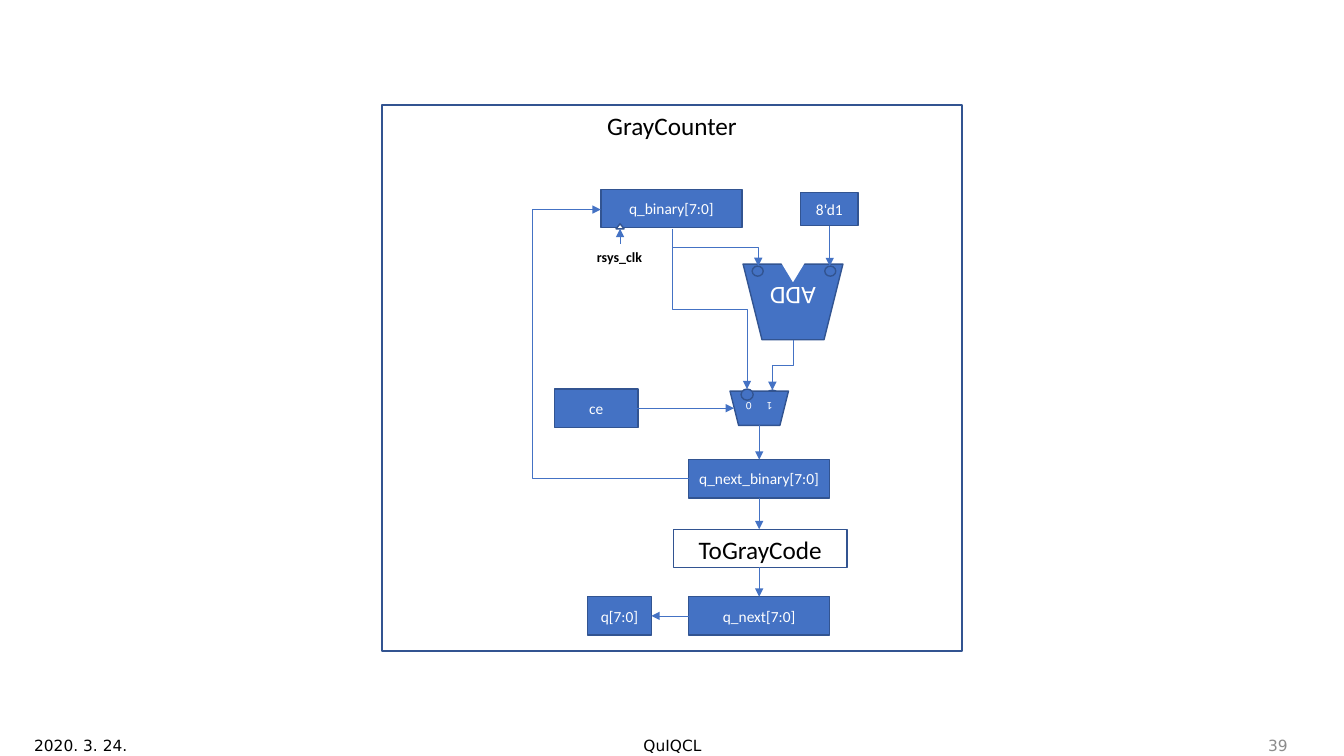
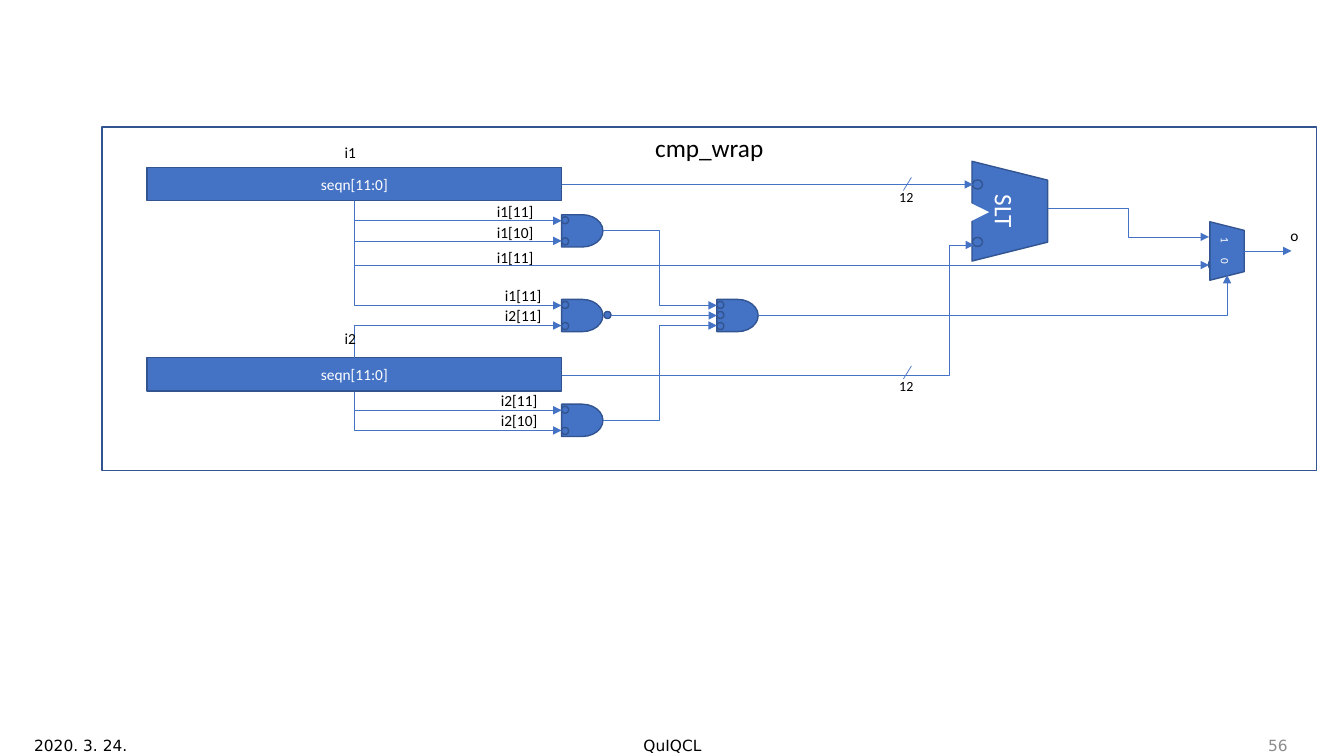
import pptx
import pptx.dml.color
import pptx.enum.shapes
import pptx.enum.text
import pptx.util
from lxml import etree
from pptx.oxml.ns import qn

Inches, Pt = pptx.util.Inches, pptx.util.Pt
Shape = pptx.enum.shapes.MSO_SHAPE
Connector = pptx.enum.shapes.MSO_CONNECTOR
Align = pptx.enum.text.PP_ALIGN
Anchor = pptx.enum.text.MSO_ANCHOR

THEME = {
    "fill": "4472C4", "outline": "325491", "wire": "4472C4",
    "white": "FFFFFF", "text": "000000", "muted": "8C8C8C",
    "font": "Calibri", "footer font": "DejaVu Sans",
    "heading": 18, "label": 11, "small": 10, "port": 8,
    "outline width": 1, "wire width": 0.5,
}
KINDS = {
    "block": Shape.RECTANGLE, "frame": Shape.RECTANGLE, "unit": Shape.TRAPEZOID,
    "mux": Shape.TRAPEZOID, "notch": Shape.ISOSCELES_TRIANGLE,
    "clock": Shape.ISOSCELES_TRIANGLE, "port": Shape.OVAL, "gate": Shape.FLOWCHART_DELAY,
}
FOOTER = [
    ("2020. 3. 24.", 0.24, 3, Align.LEFT, "text"),
    ("QuIQCL", 4.42, 4.5, Align.CENTER, "text"),
    (None, 9.87, 3, Align.RIGHT, "muted"),
]
PORT = 0.07
GATE_WIDTH, GATE_HEIGHT = 0.41, 0.32
TWO_INPUTS, THREE_INPUTS = (0.02, 0.23), (0.02, 0.12, 0.23)

# Parts: kind, text, (left, top, width, height), rotation
# Wires: start, end, route, bend as a fraction of the way
# Labels: text, (left, top, width, height), size, bold, alignment
COUNTER = {
    "title": "GrayCounter", "number": 39, "panel": (3.79, 1.04, 5.75, 5.42),
    "parts": [
        ("block", "ce", (5.5, 3.86, 0.83, 0.38), 0),
        ("block", "q[7:0]", (5.83, 5.92, 0.63, 0.38), 0),
        ("block", "q_next_binary[7:0]", (6.83, 4.56, 1.4, 0.38), 0),
        ("block", "q_binary[7:0]", (5.96, 1.88, 1.4, 0.38), 0),
        ("block", "8‘d1", (7.94, 1.91, 0.57, 0.33), 0),
        ("block", "q_next[7:0]", (6.83, 5.92, 1.4, 0.38), 0),
        ("frame", "ToGrayCode", (6.68, 5.25, 1.72, 0.38), 0),
        ("unit", "ADD", (7.37, 2.62, 0.99, 0.75), 180),
        ("notch", "", (7.75, 2.61, 0.23, 0.19), 180),
        ("port", "", (8.18, 2.64, 0.11, 0.1), 0),
        ("port", "", (7.46, 2.64, 0.11, 0.1), 0),
        ("port", "", (7.6, 3.87, 0.12, 0.11), 0),
        ("mux", "1 0", (7.24, 3.88, 0.58, 0.34), 180),
        ("port", "", (7.35, 3.86, 0.12, 0.11), 0),
        ("clock", "", (6.11, 2.22, 0.08, 0.05), 0),
    ],
    "gates": [],
    "wires": [
        ((8.23, 2.24), (8.23, 2.64), "straight", None),
        ((6.15, 2.42), (6.15, 2.27), "straight", None),
        ((6.32, 4.05), (7.28, 4.05), "straight", None),
        ((7.53, 4.22), (7.53, 4.56), "straight", None),
        ((7.53, 4.94), (7.53, 5.25), "straight", None),
        ((7.53, 5.63), (7.53, 5.92), "straight", None),
        ((6.83, 6.11), (6.46, 6.11), "straight", None),
        ((6.67, 2.27), (7.52, 2.64), "down", 0.5),
        ((6.67, 2.27), (7.41, 3.86), "down", 0.5),
        ((7.87, 3.37), (7.66, 3.87), "down", 0.5),
        ((6.83, 4.75), (5.96, 2.08), "across", 1.78),
    ],
    "labels": [("rsys_clk", (5.81, 2.42, 0.67, 0.27), "small", True, Align.CENTER)],
    "slashes": [],
}

BUS_X = 3.51
UPPER, LOWER_TOP, LOWER_BOTTOM = (BUS_X, 1.99), (BUS_X, 3.55), (BUS_X, 3.89)
FANOUT = [
    (UPPER, (5.57, 2.19)), (UPPER, (5.57, 2.39)), (UPPER, (5.57, 3.03)),
    (UPPER, (11.99, 2.63)), (LOWER_TOP, (5.57, 3.23)),
    (LOWER_BOTTOM, (5.57, 4.07)), (LOWER_BOTTOM, (5.57, 4.27)),
]
BIT_LABELS = [
    ("i1[11]", 4.83, 1.96), ("i1[10]", 4.83, 2.16), ("i1[11]", 4.83, 2.41),
    ("i1[11]", 4.91, 2.79), ("i2[11]", 4.91, 2.99),
    ("i2[11]", 4.87, 3.83), ("i2[10]", 4.87, 4.03),
]
END_LABELS = [("i1", 3.32, 1.37), ("i2", 3.32, 3.22), ("o", 12.7, 2.19)]

COMPARATOR = {
    "title": "cmp_wrap", "number": 56, "panel": (1.01, 1.26, 12.05, 3.41),
    "parts": [
        ("block", "seqn[11:0]", (1.46, 1.66, 4.11, 0.33), 0),
        ("block", "seqn[11:0]", (1.46, 3.55, 4.11, 0.33), 0),
        ("port", "", (5.99, 3.09, PORT, PORT), 0),
        ("unit", "SLT", (9.52, 1.72, 0.99, 0.75), 90),
        ("notch", "", (9.62, 2.01, 0.19, 0.19), 90),
        ("port", "", (9.65, 2.35, 0.09, 0.1), 90),
        ("port", "", (9.65, 1.78, 0.09, 0.1), 90),
        ("port", "", (11.98, 2.57, 0.12, 0.11), 90),
        ("port", "", (11.99, 2.3, 0.12, 0.11), 90),
        ("mux", "1 0", (11.88, 2.32, 0.58, 0.34), 90),
    ],
    "gates": [
        (5.57, 2.13, TWO_INPUTS), (5.57, 4.01, TWO_INPUTS),
        (5.57, 2.97, TWO_INPUTS), (7.11, 2.97, THREE_INPUTS),
    ],
    "wires": [(start, end, "down corner", None) for start, end in FANOUT] + [
        ((5.98, 2.29), (7.11, 3.03), "across", 0.5),
        ((6.06, 3.13), (7.11, 3.13), "straight", None),
        ((5.98, 4.17), (7.11, 3.23), "across", 0.5),
        ((5.57, 1.83), (9.65, 1.83), "straight", None),
        ((5.57, 3.72), (9.66, 2.43), "across", 0.94),
        ((10.39, 2.07), (11.99, 2.35), "across", 0.5),
        ((7.52, 3.13), (12.17, 2.73), "across corner", None),
        ((12.34, 2.49), (12.81, 2.49), "straight", None),
    ],
    "labels": [(text, (x, y, 0.63, 0.29), "label", False, Align.LEFT)
               for text, x, y in BIT_LABELS]
    + [(text, (x, y, 0.39, 0.29), "label", False, Align.LEFT)
       for text, x, y in END_LABELS]
    + [("12", (8.82, y, 0.35, 0.27), "small", False, Align.LEFT) for y in (1.82, 3.7)],
    "slashes": [((9.04, y), (8.96, y + 0.13)) for y in (1.76, 3.63)],
}


def color(name):
    return pptx.dml.color.RGBColor.from_string(THEME[name])


def inches(values):
    return [Inches(value) for value in values]


def write(box, text, size, ink, align=Align.CENTER, anchor=Anchor.MIDDLE,
          font="font", bold=False):
    frame = box.text_frame
    frame.word_wrap = True
    frame.vertical_anchor = anchor
    para = frame.paragraphs[0]
    para.alignment = align
    span = para.add_run()
    span.text = text
    style = {"name": THEME[font], "size": Pt(THEME[size]), "bold": bold}
    for key, value in style.items():
        setattr(span.font, key, value)
    span.font.color.rgb = color(ink)
    return para


def write_mux(box, text):
    """Write the two input numbers, spread apart by letter spacing."""
    frame = box.text_frame
    for side in ("left", "right", "top", "bottom"):
        setattr(frame, "margin_" + side, 0)
    for number, character in enumerate(text):
        if number:
            span = frame.paragraphs[0].add_run()
            span.text = character
            span.font.name = THEME["font"]
            span.font.size = Pt(THEME["port"])
            span.font.color.rgb = color("white")
        else:
            write(box, character, "port", "white")
    for span in frame.paragraphs[0].runs:
        if span.text == " ":
            span.font._element.set("spc", "900")


def outline(box):
    box.line.color.rgb = color("outline")
    box.line.width = Pt(THEME["outline width"])


def add_part(page, kind, text, place, rotation=0):
    box = page.shapes.add_shape(KINDS[kind], *inches(place))
    box.shadow.inherit = False
    box.rotation = rotation
    if kind == "frame":
        box.fill.background()
    else:
        box.fill.solid()
        box.fill.fore_color.rgb = color("white" if kind in ("notch", "clock") else "fill")
    if kind == "notch":
        box.line.fill.background()
    else:
        outline(box)
    if kind == "mux":
        write_mux(box, text)
    elif kind == "frame":
        write(box, text, "heading", "text", anchor=Anchor.TOP)
    elif text:
        write(box, text, "heading" if kind == "unit" else "label", "white")


def add_gate(page, left, top, inputs):
    add_part(page, "gate", "", (left, top, GATE_WIDTH, GATE_HEIGHT))
    for offset in inputs:
        add_part(page, "port", "", (left, top + offset, PORT, PORT))


def turn_down(line, start, end):
    """Turn an elbow so that it leaves its start vertically."""
    (x1, y1), (x2, y2) = start, end
    width, height = abs(y2 - y1), abs(x2 - x1)
    if y2 < y1:
        rotation, flips = 90, ("flipH", "flipV")
    elif x2 > x1:
        rotation, flips = 270, ("flipH",)
    else:
        rotation, flips = 90, ()
    line.left, line.top, line.width, line.height = inches(
        ((x1 + x2 - width) / 2, (y1 + y2 - height) / 2, width, height))
    frame = line._element.spPr.find(qn("a:xfrm"))
    for flip in ("flipH", "flipV"):
        frame.set(flip, "1" if flip in flips else "0")
    frame.set("rot", str(rotation * 60000))


def add_wire(page, start, end, route="straight", bend=None, arrow=True):
    kind = Connector.STRAIGHT if route == "straight" else Connector.ELBOW
    line = page.shapes.add_connector(kind, *inches(start + end))
    line.line.color.rgb = color("wire")
    line.line.width = Pt(THEME["wire width"])
    properties = line._element.spPr
    shape = properties.find(qn("a:prstGeom"))
    if route.endswith("corner"):
        shape.set("prst", "bentConnector2")
    if route.startswith("down"):
        turn_down(line, start, end)
    if bend is not None:
        guides = shape.find(qn("a:avLst"))
        if guides is None:
            guides = etree.SubElement(shape, qn("a:avLst"))
        etree.SubElement(guides, qn("a:gd"), name="adj1", fmla=f"val {round(bend * 100000)}")
    if arrow:
        etree.SubElement(properties.find(qn("a:ln")), qn("a:tailEnd"), type="triangle")
    etree.SubElement(properties, qn("a:effectLst"))


def add_label(page, text, place, size, bold, align):
    box = page.shapes.add_textbox(*inches(place))
    write(box, text, size, "text", align, Anchor.TOP, bold=bold)


def add_panel(page, title, place):
    panel = page.shapes.title
    panel.left, panel.top, panel.width, panel.height = inches(place)
    outline(panel)
    write(panel, title, "heading", "text", anchor=Anchor.TOP)
    panel.text_frame.auto_size = pptx.enum.text.MSO_AUTO_SIZE.NONE


def add_footer(page, number):
    for text, left, width, align, ink in FOOTER:
        box = page.shapes.add_textbox(*inches((left, 7.19, width, 0.4)))
        write(box, text or str(number), "label", ink, align, font="footer font")


def add_diagram(deck, content):
    page = deck.slides.add_slide(deck.slide_layouts.get_by_name("Title Only"))
    add_panel(page, content["title"], content["panel"])
    for part in content["parts"]:
        add_part(page, *part)
    for gate in content["gates"]:
        add_gate(page, *gate)
    for wire in content["wires"]:
        add_wire(page, *wire)
    for start, end in content["slashes"]:
        add_wire(page, start, end, arrow=False)
    for label in content["labels"]:
        add_label(page, *label)
    add_footer(page, content["number"])


def main():
    deck = pptx.Presentation()
    deck.slide_width, deck.slide_height = inches((13.33, 7.5))
    for content in (COUNTER, COMPARATOR):
        add_diagram(deck, content)
    deck.save("out.pptx")


if __name__ == "__main__":
    main()
